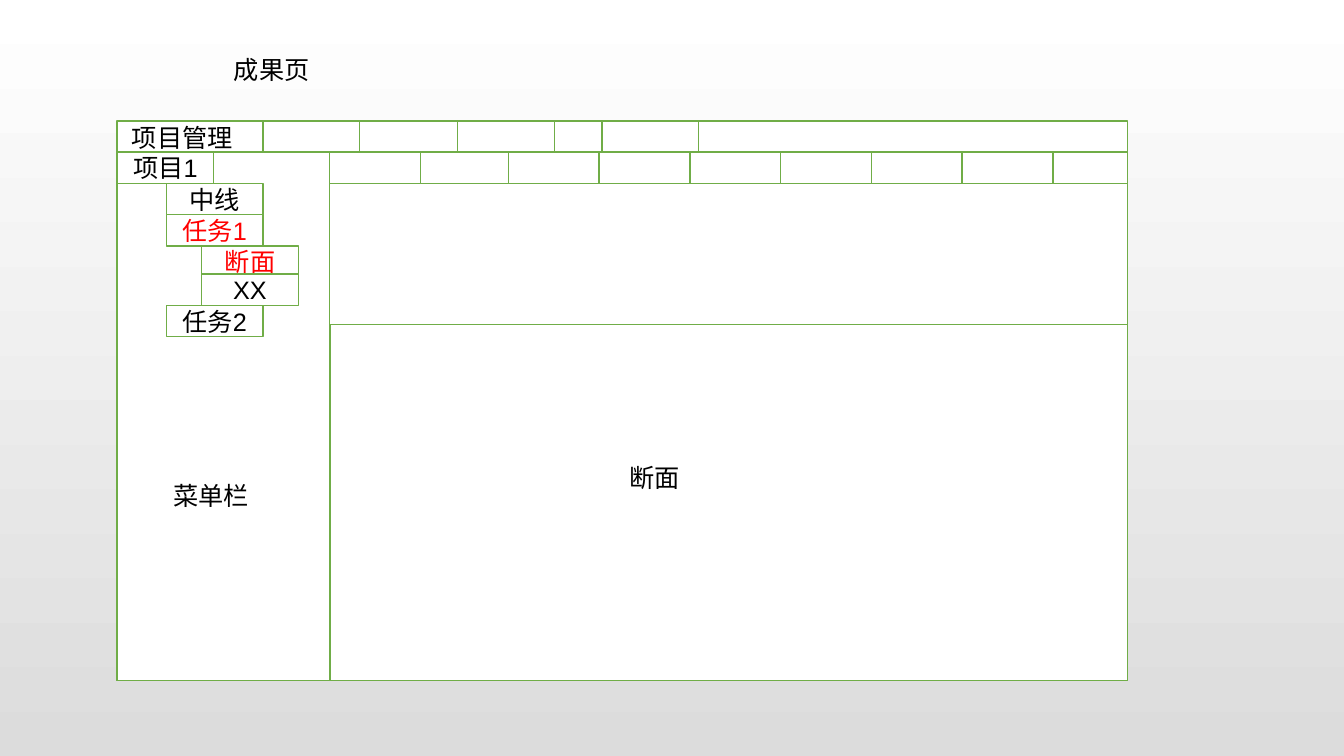
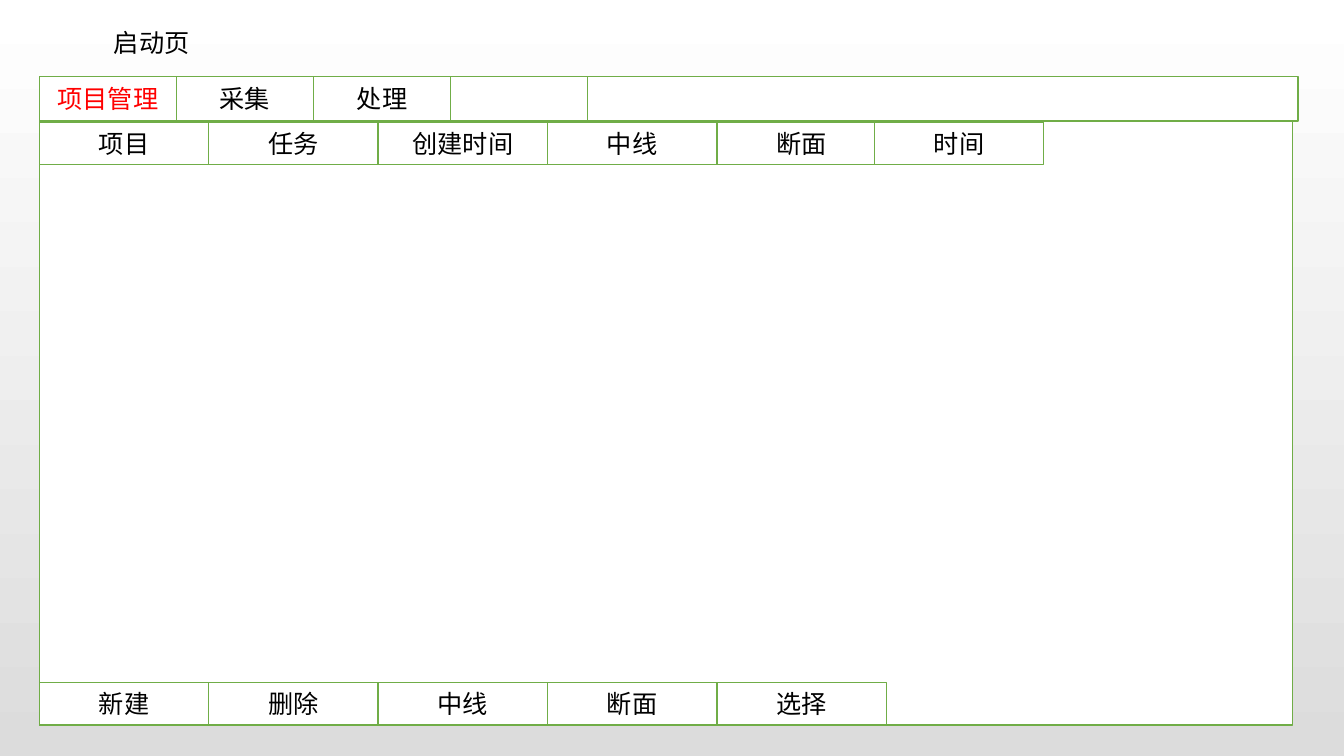
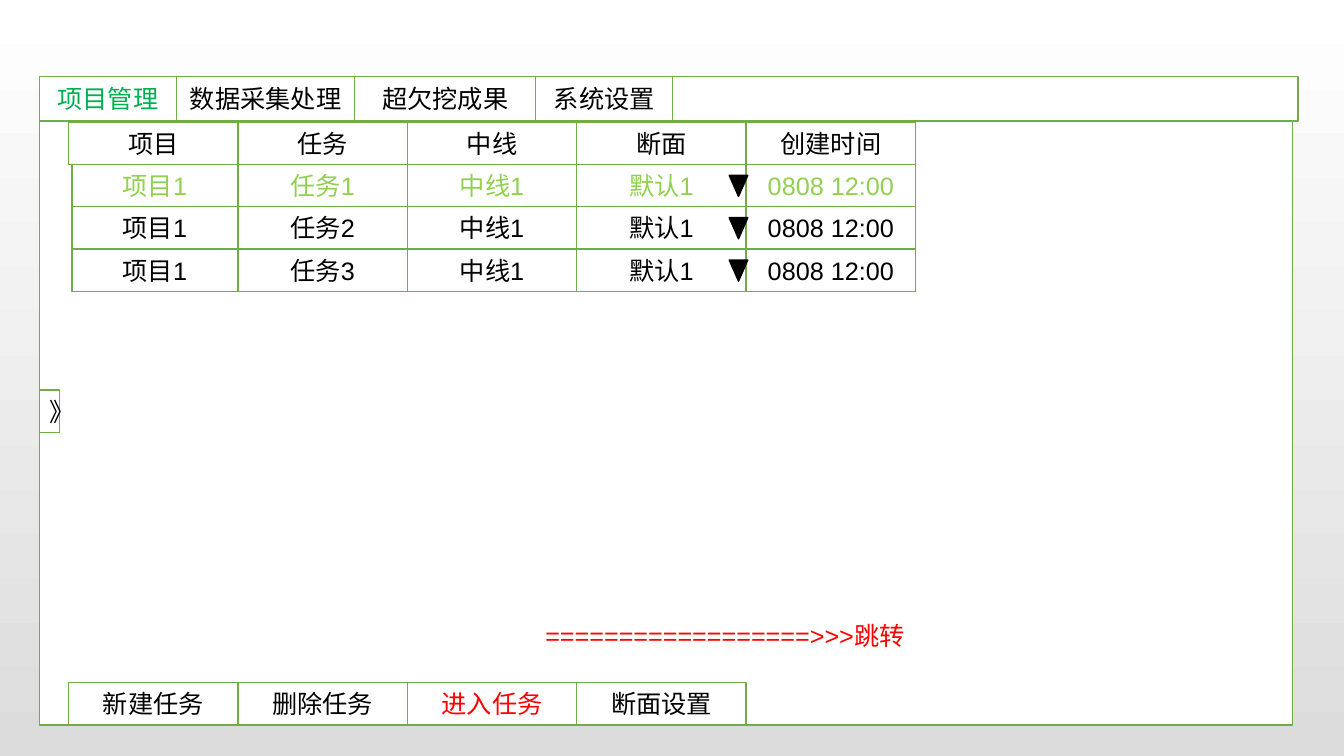
from dataclasses import dataclass
from itertools import accumulate

from pptx import Presentation
from pptx.dml.color import RGBColor
from pptx.enum.shapes import MSO_SHAPE
from pptx.enum.text import MSO_ANCHOR, MSO_AUTO_SIZE, PP_ALIGN
from pptx.shapes.autoshape import Shape
from pptx.slide import Slide
from pptx.util import Inches, Pt

WHITE = RGBColor(0xFF, 0xFF, 0xFF)
SILVER = RGBColor(0xDC, 0xDC, 0xDC)
BLACK = RGBColor(0, 0, 0)
RED = RGBColor(0xFF, 0, 0)
EDGE = RGBColor(0x70, 0xAD, 0x47)
GREEN = RGBColor(0, 0xB0, 0x50)
LIME = RGBColor(0x92, 0xD0, 0x50)
FONT = "Arial"
TITLE_ONLY, BLANK = 5, 6


@dataclass(frozen=True)
class Grid:
    """Origin and cell size in inches."""
    left: float
    top: float
    col: float
    row: float

    def place(self, x: float, y: float, w: float, h: float) -> tuple:
        return (Inches(self.left + x * self.col), Inches(self.top + y * self.row),
                Inches(w * self.col), Inches(h * self.row))


@dataclass(frozen=True)
class Cell:
    """A box in columns and rows of a grid."""
    x: float
    y: float
    w: float = 1
    h: float = 1
    text: str = ""
    ink: RGBColor = BLACK


PAGE = Grid(0, 0, 0.1, 0.1)
TABS = Grid(0.39, 0.76, 1.36, 0.44)
FRAME = Grid(0.39, 1.21, 1.68, 0.42)
INNER = Grid(0.68, 1.21, 1.68, 0.42)
FOOT = 13.24


def style(shape: Shape, text: str, ink: RGBColor, align: PP_ALIGN) -> None:
    para = shape.text_frame.paragraphs[0]
    para.text = text
    para.alignment = align
    for run in para.runs:
        run.font.name = FONT
        run.font.size = Pt(18)
        run.font.color.rgb = ink


def draw(slide: Slide, grid: Grid, cell: Cell, kind: MSO_SHAPE = MSO_SHAPE.RECTANGLE,
         fill: RGBColor = WHITE, edge: RGBColor = EDGE) -> Shape:
    shape = slide.shapes.add_shape(kind, *grid.place(cell.x, cell.y, cell.w, cell.h))
    shape.shadow.inherit = False
    shape.fill.solid()
    shape.fill.fore_color.rgb = fill
    shape.line.color.rgb = edge
    shape.line.width = Pt(1)
    if cell.text:
        shape.text_frame.vertical_anchor = MSO_ANCHOR.MIDDLE
        style(shape, cell.text, cell.ink, PP_ALIGN.CENTER)
    return shape


def strip(slide: Slide, grid: Grid, y: float, texts: list[str],
          inks: dict[str, RGBColor] | None = None, widths: list[float] | None = None) -> None:
    """Draw boxes side by side."""
    widths = widths or [1] * len(texts)
    for x, w, text in zip(accumulate(widths, initial=0), widths, texts):
        draw(slide, grid, Cell(x, y, w, 1, text, (inks or {}).get(text, BLACK)))


def label(slide: Slide, cell: Cell) -> None:
    box = slide.shapes.add_textbox(*PAGE.place(cell.x, cell.y, cell.w, cell.h))
    box.text_frame.word_wrap = True
    box.text_frame.auto_size = MSO_AUTO_SIZE.SHAPE_TO_FIT_TEXT
    style(box, cell.text, cell.ink, PP_ALIGN.LEFT)


def head(slide: Slide, text: str, x: float, y: float) -> None:
    title = slide.shapes.title
    title.left, title.top, title.width, title.height = PAGE.place(x, y, 12.1, 4)
    title.text_frame.auto_size = MSO_AUTO_SIZE.NONE
    title.text_frame.vertical_anchor = MSO_ANCHOR.TOP
    style(title, text, BLACK, PP_ALIGN.LEFT)


def window(slide: Slide) -> None:
    """Draw the application frame and its menu bar."""
    draw(slide, FRAME, Cell(0, -1.07, 7.4, 15.31))
    draw(slide, TABS, Cell(0, 0, 9.18))


def result(slide: Slide) -> None:
    head(slide, "成果页", 22.2, 4.9)
    grid = Grid(1.16, 1.2, 0.48, 0.31)
    tools = Grid(3.27, 1.51, 0.9, 0.31)
    # Window, side bar and menu bar
    draw(slide, grid, Cell(0, 0, 20.88, 17.9))
    draw(slide, grid, Cell(0, 1, 4.4, 16.9))
    for x in (3.02, 7.04, 10.02):
        draw(slide, grid, Cell(x, 0, 2))
    draw(slide, grid, Cell(4.4, 6.52, 16.48, 11.38))
    label(slide, Cell(16.2, 47.2, 12.1, 4, "菜单栏"))
    label(slide, Cell(61.4, 45.4, 12.1, 4, "断面"))
    # Project tree
    for x, y, text, ink in ((0, 1, "项目1", BLACK), (1.02, 3, "任务1", RED),
                            (1.02, 2, "中线", BLACK), (1.02, 5.9, "任务2", BLACK),
                            (1.75, 4, "断面", RED), (1.75, 4.9, "XX", BLACK)):
        draw(slide, grid, Cell(x, y, 2, 1, text, ink))
    # Tool bar: the last button lies under its neighbour
    for x in (7.79, 0, 1, *(n + 1.97 for n in range(6))):
        draw(slide, tools, Cell(x, 0))
    label(slide, Cell(12.1, 11.6, 14, 4, "项目管理"))


def start(slide: Slide) -> None:
    head(slide, "启动页", 10.3, 2.2)
    window(slide)
    strip(slide, TABS, 0, ["项目管理", "采集", "处理", ""], {"项目管理": RED})
    strip(slide, FRAME, 0, ["项目", "任务", "创建时间", "中线", "断面"])
    draw(slide, FRAME, Cell(4.93, 0, text="时间"))
    strip(slide, FRAME, FOOT, ["新建", "删除", "中线", "断面", "选择"])


def tasks(slide: Slide) -> None:
    window(slide)
    strip(slide, TABS, 0, ["项目管理", "数据采集处理", "超欠挖成果", "系统设置"],
          {"项目管理": GREEN}, [1, 1.3, 1.32, 1])
    strip(slide, INNER, 0, ["项目", "任务", "中线", "断面", "创建时间"])
    draw(slide, FRAME, Cell(0, 6.33, 0.12, 1, "》"))
    strip(slide, INNER, FOOT, ["新建任务", "删除任务", "进入任务", "断面设置"],
          {"进入任务": RED})
    # Task rows, the first one selected
    for y in (1, 2, 3):
        ink = LIME if y == 1 else BLACK
        draw(slide, INNER, Cell(0.02, y, 0.98, 1, "项目1", ink))
        for x, text in enumerate((f"任务{y}", "中线1", "默认1", "0808 12:00"), 1):
            draw(slide, INNER, Cell(x, y, text=text, ink=ink))
    label(slide, Cell(53.1, 61, 41.8, 4, "==================>>>跳转", RED))
    # Drop-down marks
    for y in (1, 2, 3):
        mark = draw(slide, INNER, Cell(3.9, y + 0.26, 0.11, 0.5),
                    MSO_SHAPE.ISOSCELES_TRIANGLE, BLACK, BLACK)
        mark.rotation = 180


def main() -> None:
    deck = Presentation()
    deck.slide_width, deck.slide_height = Inches(13.33), Inches(7.5)
    # Shared background
    fill = deck.slide_master.background.fill
    fill.gradient()
    fill.gradient_angle = 270
    for stop, tone in zip(fill.gradient_stops, (WHITE, SILVER)):
        stop.color.rgb = tone
    for build, kind in ((result, TITLE_ONLY), (start, TITLE_ONLY), (tasks, BLANK)):
        build(deck.slides.add_slide(deck.slide_layouts[kind]))
    deck.save("out.pptx")


if __name__ == "__main__":
    main()
